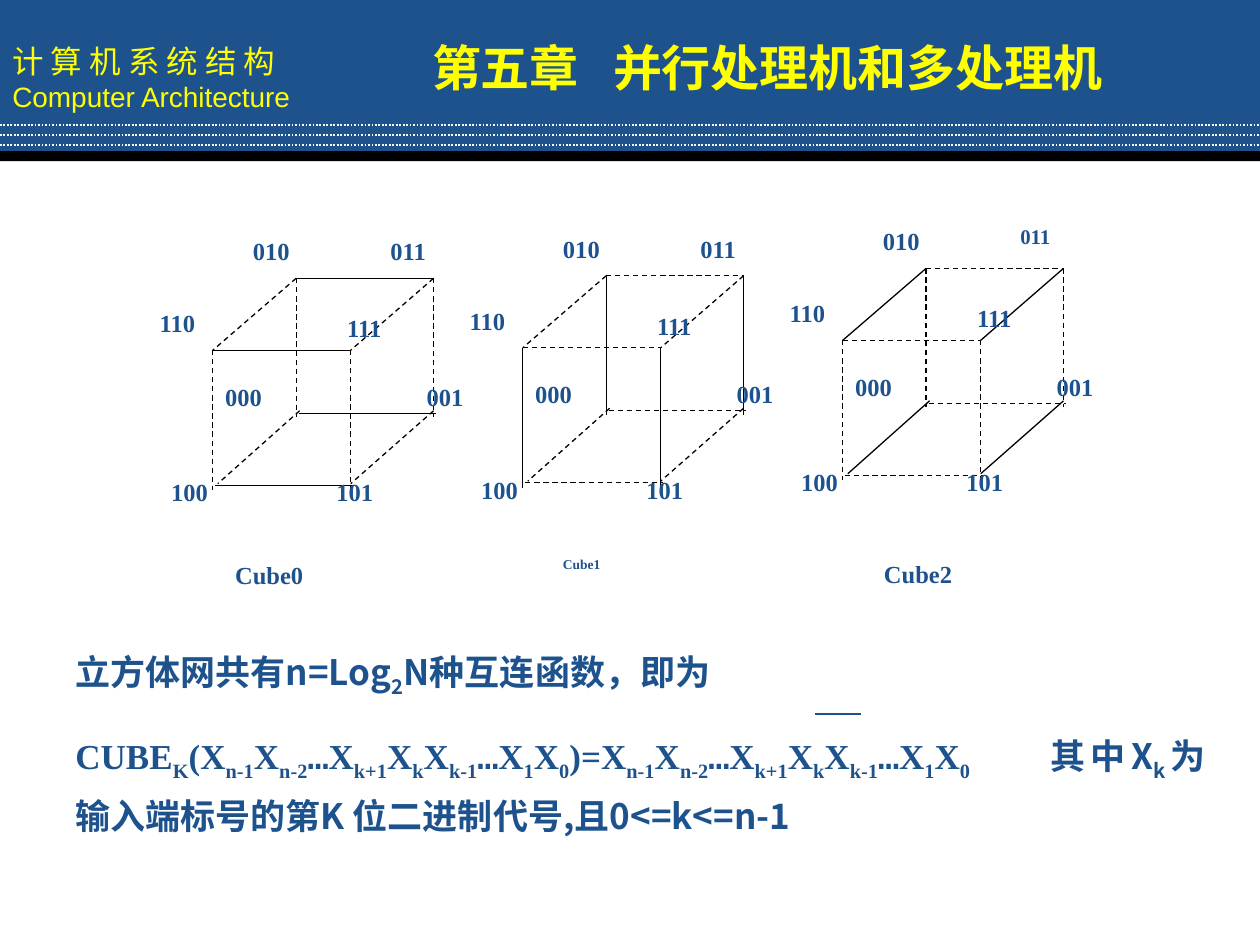
from itertools import groupby

from lxml.etree import SubElement
from pptx import Presentation
from pptx.dml.color import RGBColor
from pptx.enum.dml import MSO_LINE
from pptx.enum.shapes import MSO_CONNECTOR, MSO_SHAPE
from pptx.enum.text import MSO_ANCHOR, PP_ALIGN
from pptx.oxml.ns import qn
from pptx.util import Cm, Pt

BLUE = RGBColor(0x1D, 0x52, 0x8D)
YELLOW = RGBColor(0xFF, 0xFF, 0x00)
WHITE = RGBColor(0xFF, 0xFF, 0xFF)
BLACK = RGBColor(0x00, 0x00, 0x00)

CHINESE = "Noto Sans CJK SC"
SERIF = "Times New Roman"
SANS = "Arial"
MONO = "Courier New"

EDGES = {
    "horizontal": [
        (0, 1.45, 2.78, 1.45), (0.05, 4.17, 2.82, 4.17),
        (1.68, 0, 4.45, 0), (1.73, 2.72, 4.5, 2.72),
    ],
    "vertical": [
        (0, 1.45, 0, 4.27), (2.78, 1.45, 2.78, 4.27),
        (1.68, 0, 1.68, 2.8), (4.45, 0, 4.45, 2.8),
    ],
    "diagonal": [
        (4.45, 0, 2.78, 1.45), (4.45, 2.67, 2.78, 4.14),
        (1.75, 2.67, 0.1, 4.14), (1.68, 0, 0, 1.45),
    ],
}
VERTICES = {
    "011": (3.33, -0.97), "010": (0.56, -0.97),
    "001": (4.06, 1.96), "101": (2.24, 3.89),
    "100": (-1.09, 3.89), "000": (0, 1.96),
    "110": (-1.32, 0.48), "111": (2.46, 0.58),
}
FORMULA_TERMS = "X{n-1}X{n-2}…X{k+1}X{k}X{k-1}…X{1}X{0}"


def add_run(paragraph, text, size, color, font, bold, subscript=False):
    run = paragraph.add_run()
    run.text = text
    run.font.size = Pt(size)
    run.font.bold = bold
    run.font.color.rgb = color
    run.font.name = font
    properties = run.font._element
    SubElement(properties, qn("a:ea")).set("typeface", font)
    if subscript:
        properties.set("baseline", "-25000")


def write(paragraph, text, size=14, color=BLUE, font=SERIF, bold=True,
          align=PP_ALIGN.JUSTIFY, line_spacing=None, space_before=None, tab=None):
    paragraph.alignment = align
    if line_spacing:
        paragraph.line_spacing = line_spacing
    if space_before:
        paragraph.space_before = Pt(space_before)
    if tab:
        tabs = SubElement(paragraph._p.get_or_add_pPr(), qn("a:tabLst"))
        SubElement(tabs, qn("a:tab"), pos=str(Cm(tab)), algn="l")
    for piece in ("}" + text).split("{"):
        subscript, _, normal = piece.partition("}")
        if subscript:
            add_run(paragraph, subscript, size, color, font, bold, subscript=True)
        for dots, characters in groupby(normal, lambda character: character == "…"):
            add_run(paragraph, "".join(characters), size, color, MONO if dots else font, bold)


def add_frame(shapes, left, top, width, height):
    frame = shapes.add_textbox(Cm(left), Cm(top), Cm(width), Cm(height)).text_frame
    frame.word_wrap = True
    return frame


def add_line(shapes, left, top, ends, color=BLACK, width=0.75, dash=None):
    x1, y1, x2, y2 = ends
    line = shapes.add_connector(MSO_CONNECTOR.STRAIGHT, Cm(left + x1), Cm(top + y1),
                                Cm(left + x2), Cm(top + y2))
    line.line.color.rgb = color
    line.line.width = Pt(width)
    if dash:
        line.line.dash_style = dash
    SubElement(line._element.spPr, qn("a:effectLst"))


def add_bar(shapes, left, top, width, height, color):
    bar = shapes.add_shape(MSO_SHAPE.RECTANGLE, Cm(left), Cm(top), Cm(width), Cm(height))
    bar.shadow.inherit = False
    bar.fill.solid()
    bar.fill.fore_color.rgb = color
    bar.line.fill.background()
    return bar


def add_header(shapes, left, top, width):
    frame = add_bar(shapes, left, top, width, 3.12, BLUE).text_frame
    frame.vertical_anchor = MSO_ANCHOR.MIDDLE
    frame.word_wrap = True
    write(frame.paragraphs[0], "计 算 机 系 统 结 构", size=18, color=YELLOW,
          font=CHINESE, bold=False, align=PP_ALIGN.LEFT)
    write(frame.add_paragraph(), "Computer Architecture", size=16, color=YELLOW,
          font=SANS, bold=False, align=PP_ALIGN.LEFT)
    add_bar(shapes, left, top + 3.05, width, 0.2, BLACK)
    for index in range(3):
        add_line(shapes, left, top + 2.52 + 0.2 * index, (0, 0, width, 0),
                 color=WHITE, width=1, dash=MSO_LINE.ROUND_DOT)
    title = add_frame(shapes, left + 8.46, top + 0.64, 16.31, 1.45)
    write(title.paragraphs[0], "第五章\t并行处理机和多处理机", size=28, color=YELLOW,
          font=CHINESE, align=PP_ALIGN.LEFT, tab=3.65)


def add_cube(shapes, left, top, solid, caption, caption_at, caption_format, vertex_formats):
    for direction, edges in EDGES.items():
        for ends in edges:
            add_line(shapes, left, top, ends,
                     dash=None if direction == solid else MSO_LINE.DASH)
    for label, (x, y) in VERTICES.items():
        frame = add_frame(shapes, left + x, top + y, 2.2, 1.45)
        write(frame.paragraphs[0], label, **vertex_formats.get(label, {}))
    x, y = caption_at
    frame = add_frame(shapes, left + x, top + y, 4.98, 1.45)
    write(frame.paragraphs[0], caption, **caption_format)


def add_explanation(shapes, left, top, width, height):
    frame = add_frame(shapes, left, top, width, height)
    write(frame.paragraphs[0], "立方体网共有n=Log{2}N种互连函数，即为", size=20,
          font=CHINESE, line_spacing=1.3)
    formula = frame.add_paragraph()
    write(formula, "CUBE{K}(" + FORMULA_TERMS + ")=" + FORMULA_TERMS + "\t", size=20,
          line_spacing=1.3, space_before=12.5, tab=19.54)
    write(formula, "其中X{k}为输入端标号的第K 位二进制代号,且0<=k<=n-1", size=20, font=CHINESE)
    add_line(shapes, left, top, (15.16, 1.7, 16.08, 1.7), color=BLUE, width=1)


def main():
    presentation = Presentation()
    presentation.slide_width = Cm(25.4)
    presentation.slide_height = Cm(19.05)
    slide = presentation.slides.add_slide(presentation.slide_layouts[6])
    add_header(slide.shapes, 0, 0, 25.4)
    cubes = [
        (4.29, 5.61, "horizontal", "Cube0", (0.2, 5.56), {}, {}),
        (10.54, 5.56, "vertical", "Cube1", (0.56, 5.59),
         {"size": 7.7, "line_spacing": 0.8}, {}),
        (16.99, 5.41, "diagonal", "Cube2", (0.58, 5.74), {},
         {"011": {"size": 11.9, "line_spacing": 0.9}}),
    ]
    for cube in cubes:
        add_cube(slide.shapes.add_group_shape().shapes, *cube)
    add_explanation(slide.shapes, 1.27, 12.7, 23.29, 4.29)
    presentation.save("out.pptx")


if __name__ == "__main__":
    main()
